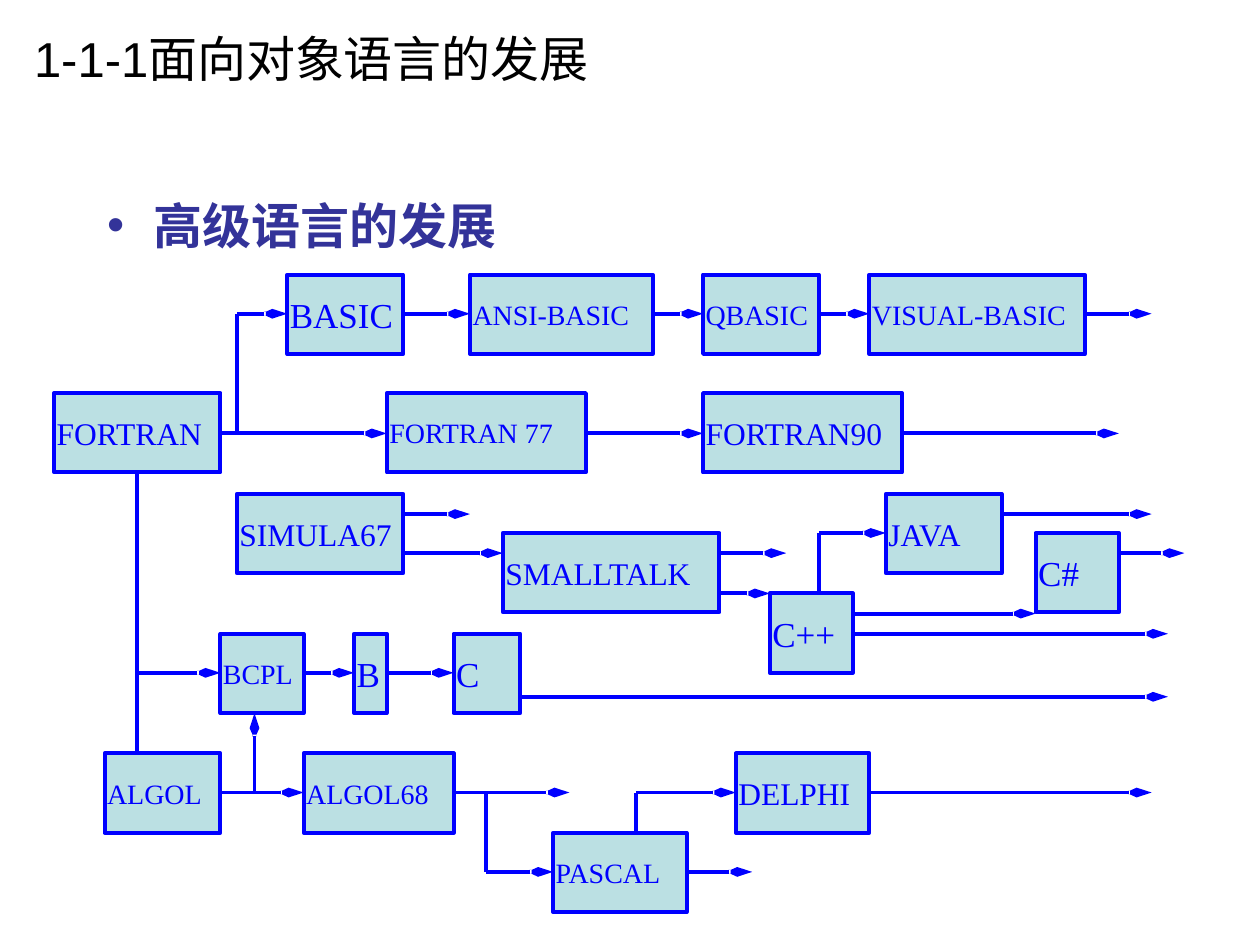
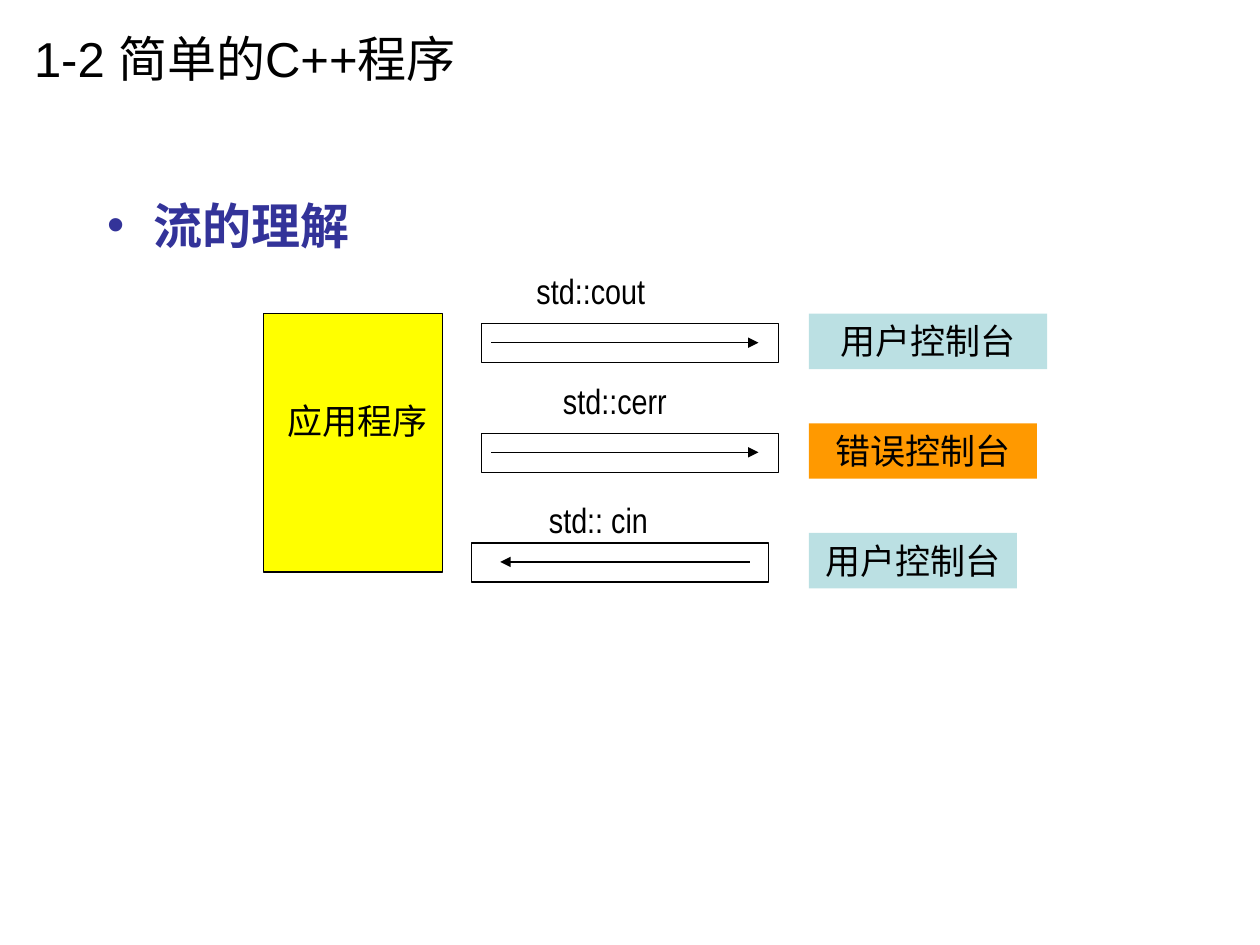
from pptx import Presentation
from pptx.dml.color import RGBColor
from pptx.enum import shapes, text
from pptx.oxml import ns, xmlchemy
from pptx.util import Inches, Pt

BLACK, BLUE, INDIGO = "000000", "0000FF", "333399"
PALE_BLUE, YELLOW, ORANGE = "BBE0E3", "FFFF00", "FF9900"
TITLE_BOX = (0.17, 0, 7.5, 0.92)
BODY_BOX = (0.75, 1.5, 8.5, 5.17)
LEFT, CENTER = text.PP_ALIGN.LEFT, text.PP_ALIGN.CENTER
TOP, MIDDLE = text.MSO_ANCHOR.TOP, text.MSO_ANCHOR.MIDDLE

LANGUAGE_HEIGHT = 0.63
# name: left, top, width, text size
LANGUAGES = {
    "BASIC": (1.85, 0, 0.92, 20),
    "ANSI-BASIC": (3.3, 0, 1.45, 16),
    "QBASIC": (5.15, 0, 0.92, 16),
    "VISUAL-BASIC": (6.47, 0, 1.71, 16),
    "FORTRAN": (0, 0.94, 1.32, 18),
    "FORTRAN 77": (2.64, 0.94, 1.58, 16),
    "FORTRAN90": (5.15, 0.94, 1.58, 18),
    "SIMULA67": (1.45, 1.74, 1.32, 18),
    "SMALLTALK": (3.56, 2.05, 1.72, 18),
    "C++": (5.68, 2.53, 0.66, 20),
    "JAVA": (6.6, 1.74, 0.92, 18),
    "C#": (7.79, 2.05, 0.66, 20),
    "BCPL": (1.32, 2.85, 0.66, 16),
    "B": (2.38, 2.85, 0.26, 20),
    "C": (3.17, 2.85, 0.53, 20),
    "ALGOL": (0.4, 3.8, 0.92, 16),
    "ALGOL68": (1.98, 3.8, 1.19, 16),
    "PASCAL": (3.96, 4.43, 1.06, 16),
    "DELPHI": (5.41, 3.8, 1.06, 18),
}
# y, then the stops: a language name stands for its edge, a number for an x
ARROW_ROWS = [
    (0.31, [1.45, "BASIC", "ANSI-BASIC", "QBASIC", "VISUAL-BASIC", 8.71]),
    (1.26, ["FORTRAN", "FORTRAN 77", "FORTRAN90", 8.45]),
    (1.9, ["SIMULA67", 3.3]),
    (1.9, ["JAVA", 8.71]),
    (2.05, [6.07, "JAVA"]),
    (2.21, ["SIMULA67", "SMALLTALK", 5.81]),
    (2.21, ["C#", 8.97]),
    (2.53, ["SMALLTALK", "C++"]),
    (2.69, ["C++", "C#"]),
    (2.85, ["C++", 8.84]),
    (3.16, [0.66, "BCPL", "B", "C"]),
    (3.35, ["C", 8.84]),
    (4.11, ["ALGOL", "ALGOL68", 4.09]),
    (4.11, [4.62, "DELPHI", 8.71]),
    (4.74, [3.43, "PASCAL", 5.54]),
]
# x, start y, end y
BRANCHES = [(1.45, 1.26, 0.31), (0.66, 1.58, 3.8), (6.07, 2.05, 2.53),
            (3.43, 4.74, 4.11), (4.62, 4.11, 4.43)]

STREAM_PITCH = 0.87
# label, label left, label top, label width, pipe left, arrow start, arrow end,
# console, console width, console fill
STREAMS = [
    ("std::cout", 2.07, -0.4, 1.06, 1.73, 1.81, 3.93, "用户控制台", 1.89, PALE_BLUE),
    ("std::cerr", 2.28, -0.4, 1.02, 1.73, 1.81, 3.93, "错误控制台", 1.81, ORANGE),
    ("std:: cin", 2.17, -0.32, 0.98, 1.65, 3.86, 1.88, "用户控制台", 1.65, PALE_BLUE),
]


def rgb(value):
    return RGBColor.from_string(value)


def write(shape, content, size, font="Arial Narrow", color=BLACK, bold=False,
          align=CENTER, anchor=TOP, before=0, margins=(0.1, 0.05), wrap=True):
    """Put one formatted paragraph in the shape and return it."""
    frame = shape.text_frame
    frame.auto_size = text.MSO_AUTO_SIZE.NONE
    frame.word_wrap = wrap
    frame.vertical_anchor = anchor
    frame.margin_left = frame.margin_right = Inches(margins[0])
    frame.margin_top = frame.margin_bottom = Inches(margins[1])
    paragraph = frame.paragraphs[0]
    paragraph.alignment = align
    paragraph.space_before = Pt(before)
    run = paragraph.add_run()
    run.text = content
    run.font.name, run.font.size, run.font.bold = font, Pt(size), bold
    run.font.color.rgb = rgb(color)
    return paragraph


def add_box(slide, left, top, width, height, fill=None, line=None, weight=0.75):
    shape = slide.shapes.add_shape(
        shapes.MSO_SHAPE.RECTANGLE, *map(Inches, (left, top, width, height)))
    shape.shadow.inherit = False
    if fill:
        shape.fill.solid()
        shape.fill.fore_color.rgb = rgb(fill)
    else:
        shape.fill.background()
    if line:
        shape.line.color.rgb = rgb(line)
        shape.line.width = Pt(weight)
    else:
        shape.line.fill.background()
    return shape


def add_label(slide, content, left, top, width, wrap=True):
    label = slide.shapes.add_textbox(*map(Inches, (left, top, width, 0.44)))
    write(label, content, 20, before=12.5, wrap=wrap)


def add_line(slide, start, end, color=BLACK, weight=0.75, head=None):
    """Draw a line; head is its arrowhead as (type, width, length)."""
    line = slide.shapes.add_connector(
        shapes.MSO_CONNECTOR.STRAIGHT, *map(Inches, (*start, *end)))
    line.line.color.rgb = rgb(color)
    line.line.width = Pt(weight)
    if head:
        tail = xmlchemy.OxmlElement("a:tailEnd")
        for key, value in zip(("type", "w", "len"), head):
            tail.set(key, value)
        line.line._get_or_add_ln().append(tail)
    line._element.spPr.append(xmlchemy.OxmlElement("a:effectLst"))


def place(shape, box):
    shape.left, shape.top, shape.width, shape.height = map(Inches, box)


def add_bullet(paragraph, color):
    properties = paragraph._p.get_or_add_pPr()
    properties.set("marL", str(Inches(0.37)))
    properties.set("indent", str(-Inches(0.37)))
    bullet_color = xmlchemy.OxmlElement("a:buClr")
    xml_color = xmlchemy.OxmlElement("a:srgbClr")
    xml_color.set("val", color)
    bullet_color.append(xml_color)
    bullet_font = xmlchemy.OxmlElement("a:buFont")
    bullet_font.set("typeface", "Arial")
    bullet = xmlchemy.OxmlElement("a:buChar")
    bullet.set("char", "•")
    for element in (bullet_color, bullet_font, bullet):
        properties.append(element)


def add_topic_slide(presentation, title, topic):
    slide = presentation.slides.add_slide(presentation.slide_layouts[1])
    heading, body = slide.shapes.title, slide.placeholders[1]
    place(heading, TITLE_BOX)
    place(body, BODY_BOX)
    write(heading, title, 28, "Arial", align=LEFT, anchor=MIDDLE)
    paragraph = write(body, topic, 28, "Arial", INDIGO, bold=True, align=LEFT,
                      before=7)
    add_bullet(paragraph, INDIGO)
    return slide


def stop_x(stop, leaving):
    """Give the x of a stop: the right edge when leaving, else the left."""
    if stop not in LANGUAGES:
        return stop
    left, _, width, _ = LANGUAGES[stop]
    return left + width if leaving else left


def add_language_history(slide, left, top):
    def connect(x1, y1, x2, y2, head=("arrow", "sm", "lg")):
        add_line(slide, (left + x1, top + y1), (left + x2, top + y2),
                 BLUE, 2.25, head)

    for name, (x, y, width, size) in LANGUAGES.items():
        box = add_box(slide, left + x, top + y, width, LANGUAGE_HEIGHT,
                      PALE_BLUE, BLUE, 2.25)
        write(box, name, size, "Times New Roman", BLUE, align=LEFT,
              anchor=MIDDLE, before=size / 4, margins=(0.02, 0.01))
    for y, stops in ARROW_ROWS:
        for start, end in zip(stops, stops[1:]):
            connect(stop_x(start, True), y, stop_x(end, False), y)
    for x, start, end in BRANCHES:
        connect(x, start, x, end, head=None)
    connect(1.59, 4.11, 1.59, 3.48)


def add_stream_diagram(slide, left, top):
    add_box(slide, left, top, 1.42, 2.05, YELLOW, BLACK)
    add_label(slide, "应用程序", left, top + 0.63, 1.5)
    for index, stream in enumerate(STREAMS):
        (label, label_x, label_y, label_width, pipe_x, start, end,
         console, console_width, fill) = stream
        row = top + index * STREAM_PITCH
        add_label(slide, label, left + label_x, row + label_y, label_width,
                  wrap=False)
        add_box(slide, left + pipe_x, row + 0.08, 2.36, 0.31, line=BLACK)
        add_line(slide, (left + start, row + 0.23), (left + end, row + 0.23),
                 head=("triangle", "med", "med"))
        box = add_box(slide, left + 4.33, row, console_width, 0.44, fill)
        write(box, console, 20, before=12.5)


def main():
    presentation = Presentation()
    presentation.slide_width, presentation.slide_height = Inches(10), Inches(7.5)
    history = add_topic_slide(presentation, "1-1-1面向对象语言的发展", "高级语言的发展")
    add_language_history(history, 0.43, 2.18)
    streams = add_topic_slide(presentation, "1-2 简单的C++程序", "流的理解")
    add_stream_diagram(streams, 2.09, 2.49)
    presentation.save("out.pptx")


if __name__ == "__main__":
    main()
